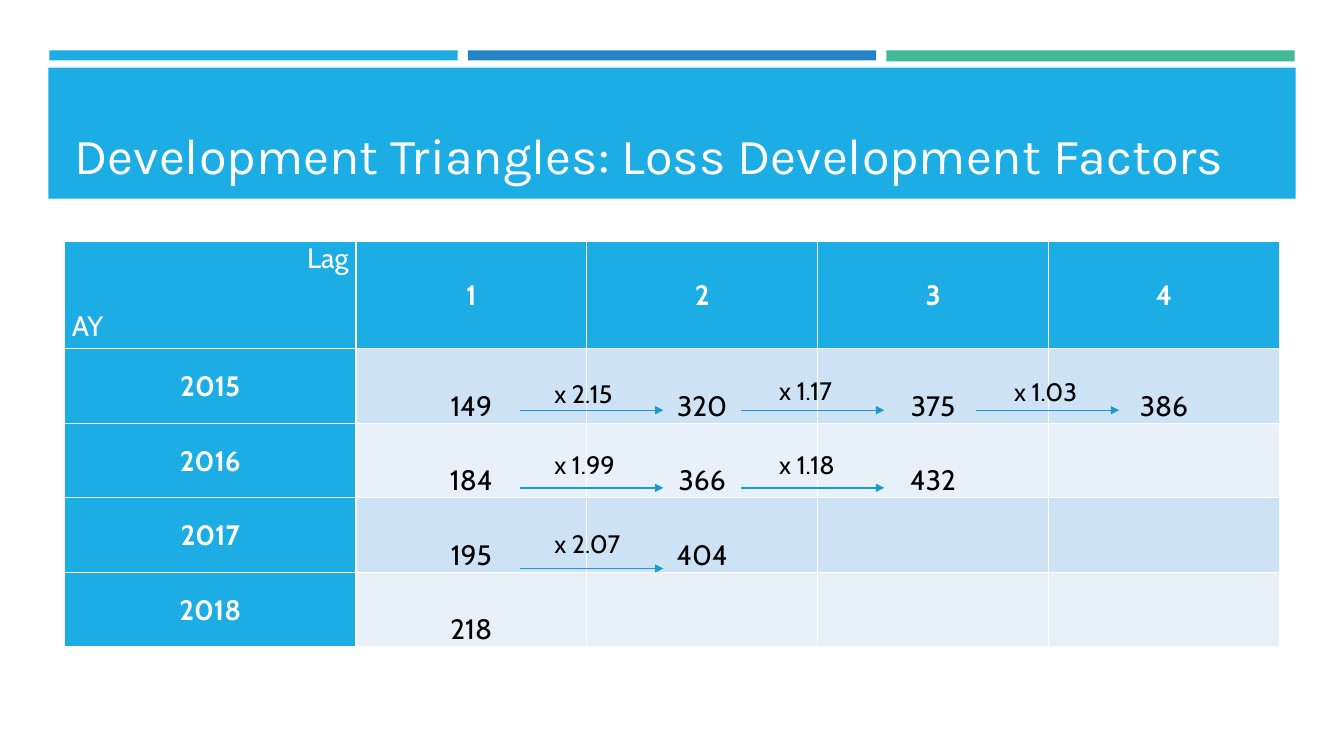
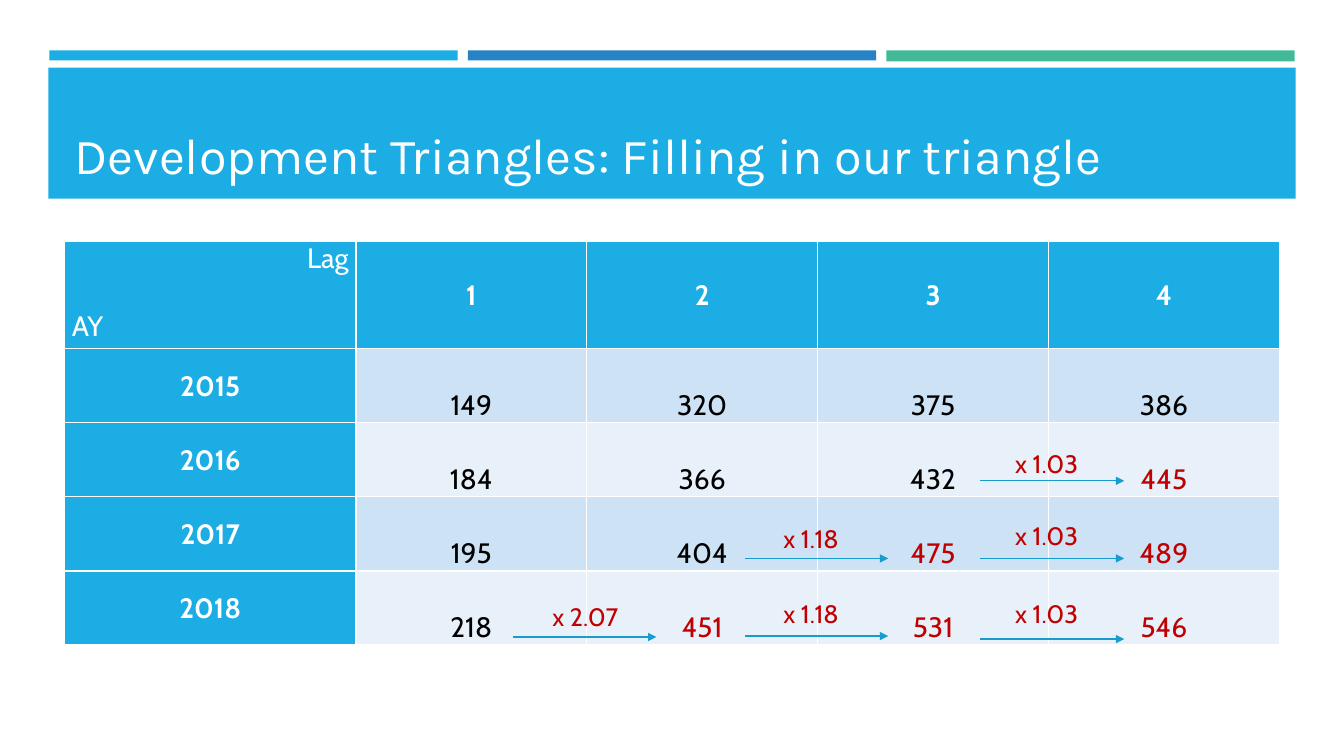
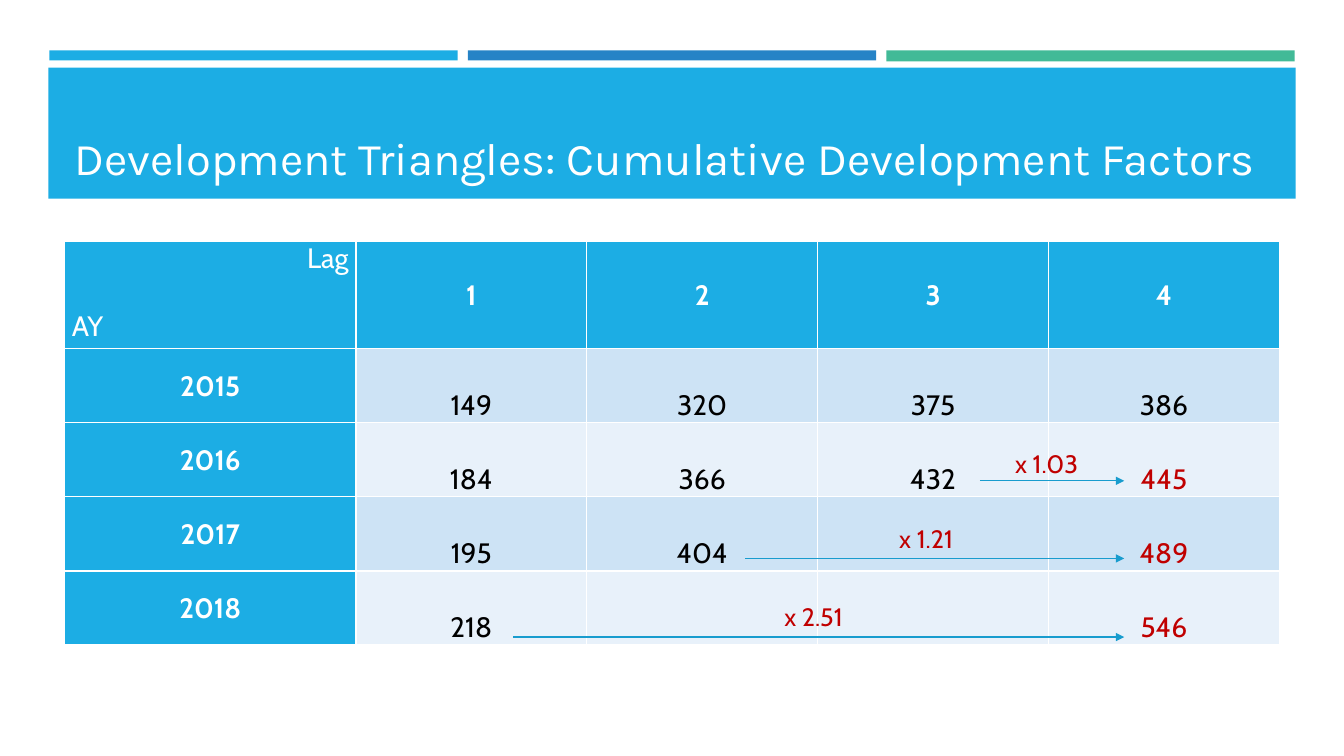
from lxml.etree import SubElement
from pptx import Presentation
from pptx.dml.color import RGBColor
from pptx.enum.shapes import MSO_CONNECTOR, MSO_SHAPE
from pptx.enum.text import MSO_ANCHOR, PP_ALIGN
from pptx.oxml.ns import qn
from pptx.util import Inches, Pt

BLUE, MID_BLUE, GREEN = "1CADE4", "2683C6", "42BA97"
ARROW_BLUE, RED, WHITE, BLACK = "189CCE", "C00000", "FFFFFF", "000000"
ROW_FILLS = ["CDE3F5", "E8F1FA"]
YEARS = ["2015", "2016", "2017", "2018"]
LABEL_COLUMN, LAG_COLUMN, HEADER_HEIGHT = 2.89, 2.29, 1.07


def rgb(value):
    return RGBColor.from_string(value)


def style(paragraph, size, color, font="Cabin", bold=False, align=PP_ALIGN.LEFT):
    paragraph.alignment = align
    paragraph.font.name = font
    paragraph.font.size = Pt(size)
    paragraph.font.bold = bold
    paragraph.font.color.rgb = rgb(color)


# Factors: text, label left, label top, arrow start, arrow end, arrow height
slides = [
    {
        "title": "Development Triangles: Loss Development Factors",
        "title_size": 36,
        "table_height": 4.03,
        "losses": [
            ["149", "320", "375", "386"],
            ["184", "366", "432", ""],
            ["195", "404", "", ""],
            ["218", "", "", ""],
        ],
        "projected": [],
        "factor_color": BLACK,
        "factors": [
            ("x 2.15", 5.4, 3.7, 5.16, 6.58, 4.07),
            ("x 1.99", 5.4, 4.41, 5.16, 6.58, 4.84),
            ("x 2.07", 5.4, 5.19, 5.16, 6.58, 5.64),
            ("x 1.17", 7.63, 3.67, 7.35, 8.77, 4.07),
            ("x 1.18", 7.63, 4.41, 7.35, 8.77, 4.84),
            ("x 1.03", 9.96, 3.68, 9.68, 11.1, 4.07),
        ],
    },
    {
        "title": "Development Triangles: Filling in our triangle",
        "title_size": 36,
        "table_height": 4.01,
        "losses": [
            ["149", "320", "375", "386"],
            ["184", "366", "432", "445"],
            ["195", "404", "475", "489"],
            ["218", "451", "531", "546"],
        ],
        "projected": ["445", "475", "489", "451", "531", "546"],
        "factor_color": RED,
        "factors": [
            ("x 1.03", 9.97, 4.4, 9.72, 11.15, 4.77),
            ("x 1.03", 9.97, 5.11, 9.72, 11.15, 5.54),
            ("x 1.03", 9.97, 5.89, 9.72, 11.15, 6.34),
            ("x 1.18", 7.67, 5.14, 7.39, 8.81, 5.54),
            ("x 1.18", 7.67, 5.89, 7.39, 8.81, 6.31),
            ("x 2.07", 5.38, 5.92, 5.09, 6.51, 6.32),
        ],
    },
    {
        "title": "Development Triangles: Cumulative Development Factors",
        "title_size": 32.4,
        "table_height": 4.01,
        "losses": [
            ["149", "320", "375", "386"],
            ["184", "366", "432", "445"],
            ["195", "404", "", "489"],
            ["218", "", "", "546"],
        ],
        "projected": ["445", "489", "546"],
        "factor_color": RED,
        "factors": [
            ("x 1.03", 9.97, 4.4, 9.72, 11.15, 4.77),
            ("x 1.21", 8.82, 5.14, 7.39, 11.15, 5.54),
            ("x 2.51", 7.68, 5.92, 5.09, 11.15, 6.32),
        ],
    },
]

prs = Presentation()
prs.slide_width, prs.slide_height = Inches(13.33), Inches(7.5)
layout = prs.slide_layouts.get_by_name("Title Only")

layout_title = layout.placeholders[0]
layout_title.left, layout_title.top = Inches(0.64), Inches(0.77)
layout_title.width, layout_title.height = Inches(12.06), Inches(1.11)
layout_title.text_frame.vertical_anchor = MSO_ANCHOR.BOTTOM

bands = [
    (0.49, 0.5, 4.05, 0.1, BLUE),
    (4.64, 0.5, 4.05, 0.1, MID_BLUE),
    (8.79, 0.5, 4.05, 0.11, GREEN),
    (0.48, 0.67, 12.37, 1.3, BLUE),
]

for number, content in enumerate(slides):
    slide = prs.slides.add_slide(layout)

    # The bands are drawn once and moved behind the title of the layout
    if number == 0:
        for left, top, width, height, color in bands:
            band = slide.shapes.add_shape(
                MSO_SHAPE.RECTANGLE, Inches(left), Inches(top), Inches(width), Inches(height))
            band.shadow.inherit = False
            band.fill.solid()
            band.fill.fore_color.rgb = rgb(color)
            band.line.fill.background()
            layout_title.element.addprevious(band.element)

    title = slide.shapes.title
    title.text_frame.text = content["title"]
    style(title.text_frame.paragraphs[0], content["title_size"], WHITE, font="Karla")

    triangle = slide.shapes.add_table(
        5, 5, Inches(0.64), Inches(2.39), Inches(12.06), Inches(content["table_height"])).table
    for index, column in enumerate(triangle.columns):
        column.width = Inches(LAG_COLUMN if index else LABEL_COLUMN)
    year_height = (content["table_height"] - HEADER_HEIGHT) / len(YEARS)
    for index, row in enumerate(triangle.rows):
        row.height = Inches(year_height if index else HEADER_HEIGHT)

    rows = [["Lag ", "1", "2", "3", "4"]]
    rows += [[year] + losses for year, losses in zip(YEARS, content["losses"])]
    for r, row in enumerate(rows):
        for c, value in enumerate(row):
            cell = triangle.cell(r, c)
            heading = r == 0 or c == 0
            cell.text = value
            cell.margin_left = cell.margin_right = Inches(0.01 if heading else 0.02)
            cell.margin_top, cell.margin_bottom = Inches(0.01), 0
            cell.vertical_anchor = MSO_ANCHOR.MIDDLE if heading else MSO_ANCHOR.BOTTOM
            cell.fill.solid()
            cell.fill.fore_color.rgb = rgb(BLUE if heading else ROW_FILLS[(r - 1) % 2])
            color = WHITE if heading else RED if value in content["projected"] else BLACK
            style(cell.text_frame.paragraphs[0], 20, color, bold=heading, align=PP_ALIGN.CENTER)

    corner = triangle.cell(0, 0)
    corner.vertical_anchor = MSO_ANCHOR.TOP
    style(corner.text_frame.paragraphs[0], 20, WHITE, align=PP_ALIGN.RIGHT)
    accident_year = corner.text_frame.add_paragraph()
    accident_year.text = " AY"
    accident_year.space_before = Pt(24)
    style(accident_year, 20, WHITE)

    for text, label_left, label_top, start, end, height in content["factors"]:
        arrow = slide.shapes.add_connector(
            MSO_CONNECTOR.STRAIGHT, Inches(start), Inches(height), Inches(end), Inches(height))
        arrow.line.color.rgb = rgb(ARROW_BLUE)
        arrow.line.width = Pt(1)
        SubElement(arrow.line._get_or_add_ln(), qn("a:tailEnd"), type="triangle")
        SubElement(arrow.element.spPr, qn("a:effectLst"))

        factor = slide.shapes.add_textbox(
            Inches(label_left), Inches(label_top), Inches(0.89), Inches(0.4)).text_frame
        factor.word_wrap = True
        factor.text = text
        style(factor.paragraphs[0], 18, content["factor_color"])

prs.save("out.pptx")
